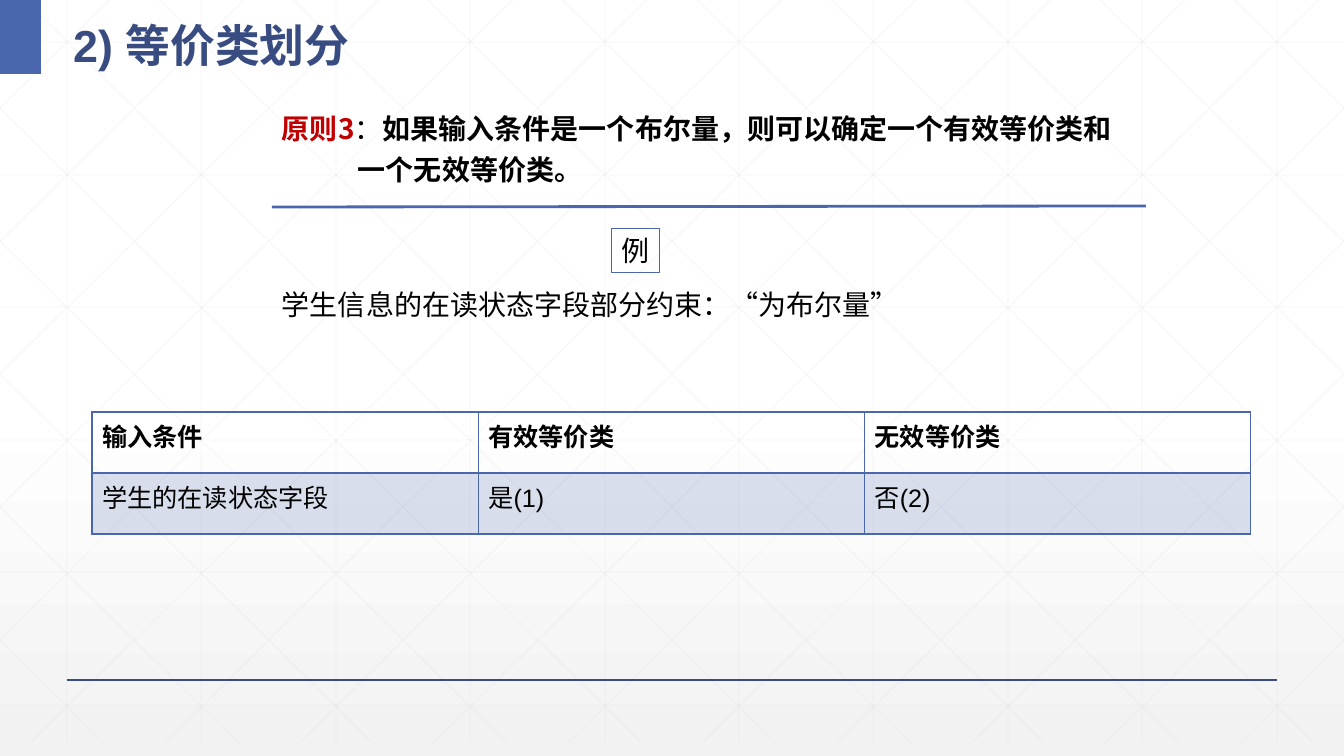
from lxml import etree
from pptx import Presentation
from pptx.dml.color import RGBColor
from pptx.enum.shapes import MSO_CONNECTOR, MSO_SHAPE
from pptx.enum.text import MSO_ANCHOR, MSO_AUTO_SIZE, PP_ALIGN
from pptx.oxml.ns import qn
from pptx.util import Emu, Pt

STRAIGHT = MSO_CONNECTOR.STRAIGHT
RECTANGLE = MSO_SHAPE.RECTANGLE
MIDDLE = MSO_ANCHOR.MIDDLE
TOP = MSO_ANCHOR.TOP
NO_FIT = MSO_AUTO_SIZE.NONE
LEFT = PP_ALIGN.LEFT
JUSTIFY = PP_ALIGN.JUSTIFY

EMU_PER_PX = 914400 / 100.8
WIDTH, HEIGHT = 1344, 756
GRID_BOTTOM = 743
GRID_STEP = 134.4
DIAGONAL_RUN = 751
CJK_FONT = "Noto Sans CJK SC"
BLUE, NAVY, RED, BLACK = "4A66AC", "384C81", "C00000", "000000"
ROWS = [
    ["输入条件", "有效等价类", "无效等价类"],
    ["学生的在读状态字段", "是(1)", "否(2)"],
]


def px(length):
    """Turn pixels into EMU."""
    return Emu(round(length * EMU_PER_PX))


def rgb(color):
    """Turn a hex string into a colour."""
    return RGBColor.from_string(color)


def fade(solid_fill, percent):
    """Give a solid fill an opacity in percent."""
    color = solid_fill.find(qn("a:srgbClr"))
    etree.SubElement(color, qn("a:alpha"), val=str(percent * 1000))


def add_line(slide, start, end, color, width, opacity=100):
    """Draw a straight line without a shadow."""
    line = slide.shapes.add_connector(STRAIGHT, *map(px, start + end))
    line.line.color.rgb = rgb(color)
    line.line.width = Pt(width)
    properties = line.element.spPr
    etree.SubElement(properties, qn("a:effectLst"))
    if opacity < 100:
        fade(properties.find(qn("a:ln")).find(qn("a:solidFill")), opacity)


def add_run(paragraph, text, size, color=BLACK, bold=False, font="Arial"):
    """Append a formatted run to a paragraph."""
    run = paragraph.add_run()
    run.text = text
    run.font.size = Pt(size)
    run.font.bold = bold
    run.font.color.rgb = rgb(color)
    run.font.name = font
    etree.SubElement(run.font._element, qn("a:ea"), typeface=CJK_FONT)


def add_text_box(slide, left, top, width, height, wrap=True):
    """Add an empty text box and return it."""
    box = slide.shapes.add_textbox(px(left), px(top), px(width), px(height))
    box.text_frame.word_wrap = wrap
    return box


def set_background(slide):
    """Fade the background from white to light grey downwards."""
    fill = slide.background.fill
    fill.gradient()
    fill.gradient_angle = 270
    for stop, position, color in zip(fill.gradient_stops, (0.53, 1), ("FFFFFF", "F2F2F2")):
        stop.position = position
        stop.color.rgb = rgb(color)


def add_grid(slide):
    """Draw the faint grid with its mirrored diagonals."""
    lines = []
    for index in range(10):
        x = round(67 + GRID_STEP * index)
        lines.append(((x, 0), (x, GRID_BOTTOM)))
    for index in range(6):
        y = round(42 + 132.6 * index)
        lines.append(((0, y), (WIDTH, y)))
    slope = GRID_BOTTOM / DIAGONAL_RUN
    for index in range(-5, 10):
        origin = 25 + GRID_STEP * index
        left, right = max(origin, 0), min(origin + DIAGONAL_RUN, WIDTH)
        top, bottom = (left - origin) * slope, (right - origin) * slope
        lines.append(((left, top), (right, bottom)))
        lines.append(((WIDTH - left, top), (WIDTH - right, bottom)))
    for start, end in lines:
        add_line(slide, start, end, "D9D9D9", 0.5, 25)


def add_corner(slide):
    """Draw the blue block in the top left corner."""
    block = slide.shapes.add_shape(RECTANGLE, 0, 0, px(41), px(74))
    block.shadow.inherit = False
    block.fill.solid()
    block.fill.fore_color.rgb = rgb(BLUE)
    block.line.fill.background()


def set_title(slide, text):
    """Place the title in front of the grid."""
    title = slide.shapes.title
    title.element.getparent().append(title.element)
    title.left, title.top, title.width, title.height = px(63), px(0), px(574), px(74)
    frame = title.text_frame
    frame.auto_size = NO_FIT
    frame.vertical_anchor = MIDDLE
    paragraph = frame.paragraphs[0]
    paragraph.alignment = LEFT
    paragraph.line_spacing = 1.3
    add_run(paragraph, text, 32, NAVY, True)


def add_principle(slide):
    """Write the principle with an indented second line."""
    frame = add_text_box(slide, 272, 100, 874, 83).text_frame
    first, second = frame.paragraphs[0], frame.add_paragraph()
    first.line_spacing = second.line_spacing = 1.2
    add_run(first, "原则3", 20, RED, True, CJK_FONT)
    add_run(first, "：", 20, font=CJK_FONT)
    add_run(first, "如果输入条件是一个布尔量，则可以确定一个有效等价类和", 20, bold=True, font=CJK_FONT)
    second._p.get_or_add_pPr().set("marL", str(px(76)))
    add_run(second, "一个无效等价类。", 20, bold=True, font=CJK_FONT)


def add_example(slide):
    """Write the framed example label and its sentence."""
    label = add_text_box(slide, 612, 229, 48, 44, wrap=False)
    label.line.color.rgb = rgb(BLUE)
    label.line.width = Pt(0.75)
    add_run(label.text_frame.paragraphs[0], "例", 20)
    sentence = add_text_box(slide, 272, 283, 800, 44)
    add_run(sentence.text_frame.paragraphs[0], "学生信息的在读状态字段部分约束：“为布尔量”", 20)


def set_borders(cell, widths):
    """Draw the cell borders with the given widths in points."""
    properties = cell._tc.get_or_add_tcPr()
    for side, width in widths.items():
        border = etree.SubElement(properties, qn(f"a:ln{side}"), w=str(Pt(width)))
        fill = etree.SubElement(border, qn("a:solidFill"))
        etree.SubElement(fill, qn("a:srgbClr"), val=BLUE)


def add_classes_table(slide):
    """Add the table of equivalence classes."""
    frame = slide.shapes.add_table(2, 3, px(92), px(412), px(1159), px(122))
    table = frame.table
    table.first_row = table.horz_banding = False
    for row_index, texts in enumerate(ROWS):
        is_header = row_index == 0
        for column_index, text in enumerate(texts):
            cell = table.cell(row_index, column_index)
            cell.vertical_anchor = TOP
            top, bottom = (1, 2) if is_header else (2, 1)
            set_borders(cell, {"L": 1, "R": 1, "T": top, "B": bottom})
            if is_header:
                cell.fill.background()
            else:
                cell.fill.solid()
                cell.fill.fore_color.rgb = rgb(BLUE)
                fade(cell._tc.tcPr.find(qn("a:solidFill")), 20)
            paragraph = cell.text_frame.paragraphs[0]
            paragraph.alignment = JUSTIFY
            add_run(paragraph, text, 18, bold=is_header)


def main():
    """Build the slide and save it."""
    presentation = Presentation()
    presentation.slide_width, presentation.slide_height = px(WIDTH), px(HEIGHT)
    slide = presentation.slides.add_slide(presentation.slide_layouts[5])
    set_background(slide)
    add_grid(slide)
    add_line(slide, (67, 680), (1277, 680), NAVY, 1)
    add_corner(slide)
    set_title(slide, "2) 等价类划分")
    add_line(slide, (272, 207), (1146, 206), BLUE, 2)
    add_example(slide)
    add_principle(slide)
    add_classes_table(slide)
    presentation.save("out.pptx")


if __name__ == "__main__":
    main()
